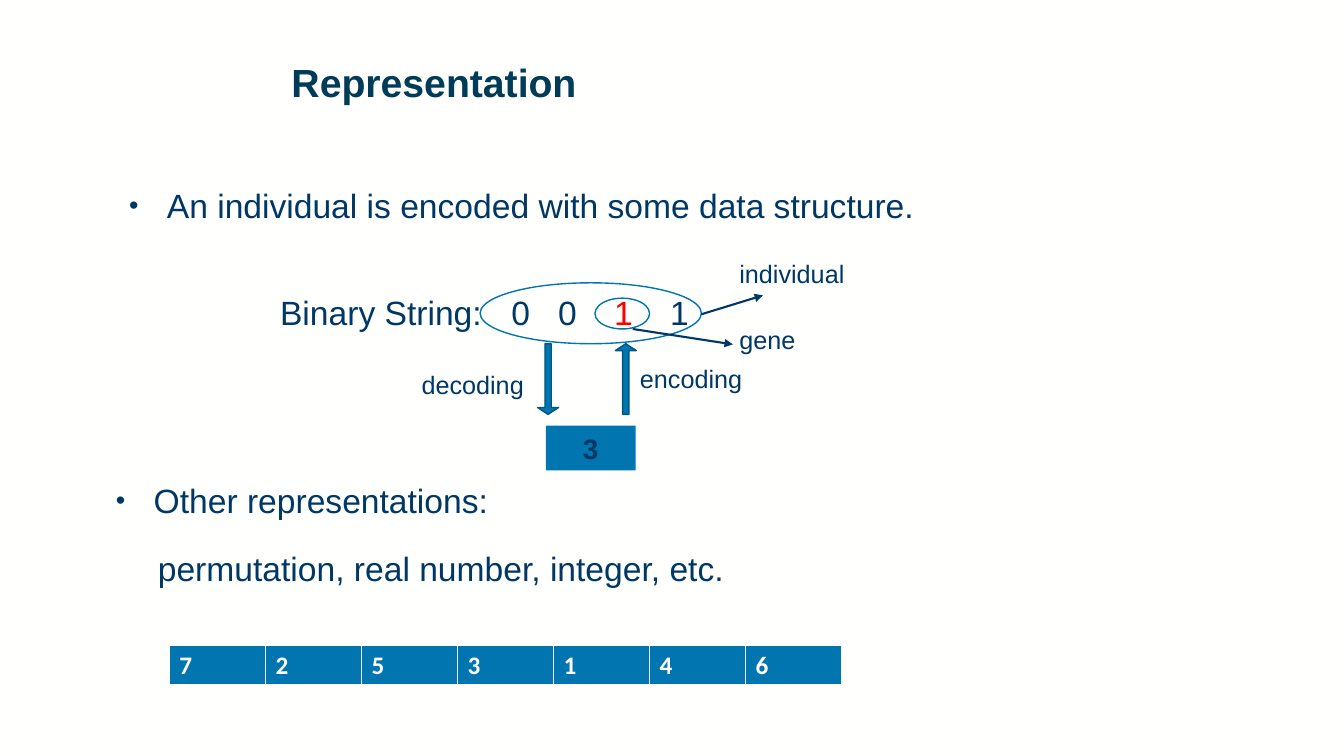
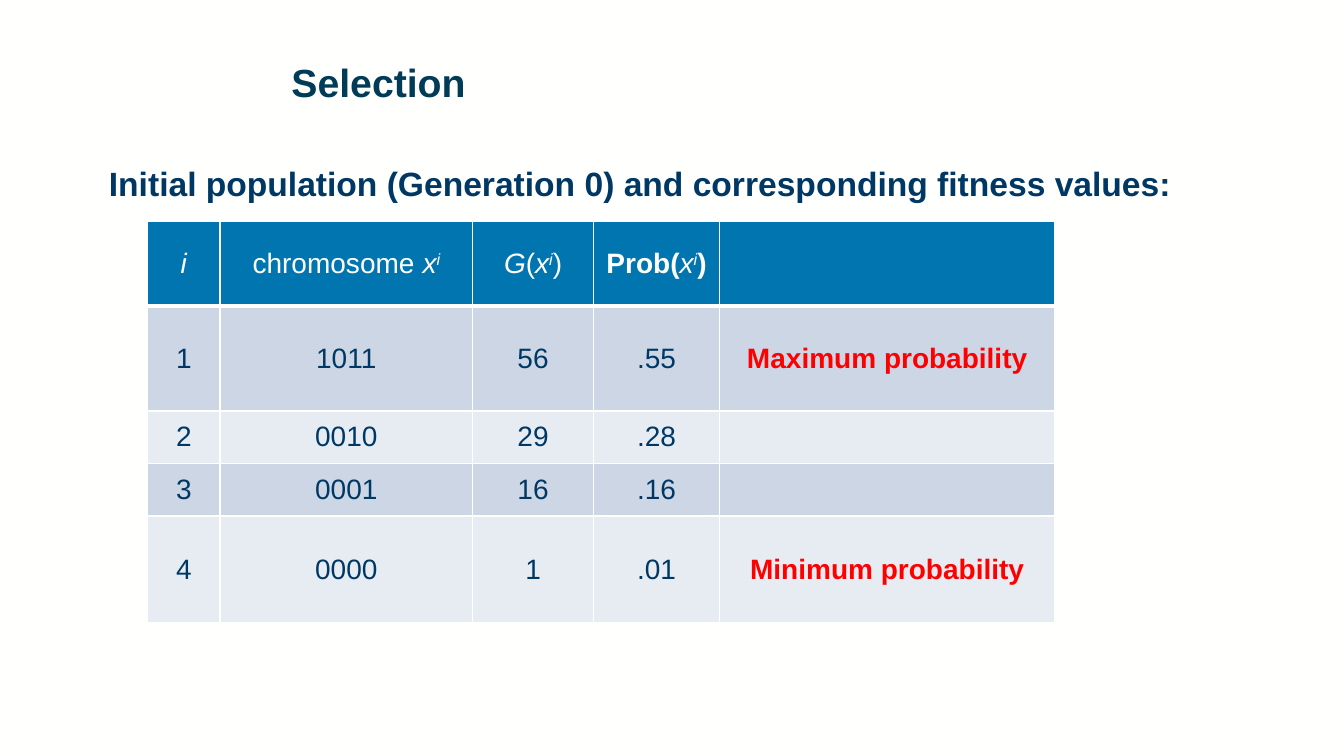
from dataclasses import dataclass

from lxml.etree import SubElement
from pptx import Presentation
from pptx.dml.color import RGBColor as Color
from pptx.enum.shapes import MSO_CONNECTOR as Connector, MSO_SHAPE as Shape
from pptx.enum.text import MSO_ANCHOR as Anchor, MSO_AUTO_SIZE as AutoSize, PP_ALIGN as Align
from pptx.oxml.ns import qn
from pptx.util import Pt


@dataclass(frozen=True)
class Theme:
    paper: str = "FFFFFE"
    title: str = "003B58"
    ink: str = "003865"
    accent: str = "0075B0"
    accent_edge: str = "005782"
    highlight: str = "FF0000"
    band_dark: str = "CCD6E4"
    band_light: str = "E7ECF2"
    font: str = "Arial"
    strip_font: str = "Calibri"
    title_size: int = 28
    body_size: int = 24
    table_size: int = 20
    label_size: int = 18


THEME = Theme()


def rgb(value):
    return Color.from_string(value)


def add_run(paragraph, text, size, color=THEME.ink, style="", font=THEME.font):
    """Add a run; style may hold b (bold), i (italic) and ^ (superscript)."""
    run = paragraph.add_run()
    run.text = text
    run.font.name = font
    run.font.size = Pt(size)
    run.font.color.rgb = rgb(color)
    run.font.bold = "b" in style
    run.font.italic = "i" in style
    if "^" in style:
        run._r.get_or_add_rPr().set("baseline", "30000")


def place(shape, left, top, width, height):
    shape.left, shape.top = Pt(left), Pt(top)
    shape.width, shape.height = Pt(width), Pt(height)


def set_indent(paragraph, margin, bullet=False):
    properties = paragraph._p.get_or_add_pPr()
    properties.set("marL", str(Pt(margin)))
    properties.set("indent", str(Pt(-margin if bullet else 0)))
    if bullet:
        SubElement(properties, qn("a:buSzPct"), val="80000")
        SubElement(properties, qn("a:buFont"), typeface=THEME.font)
        SubElement(properties, qn("a:buChar"), char="•")
    else:
        SubElement(properties, qn("a:buNone"))


def fill_title(slide, text):
    title = slide.shapes.title
    place(title, 201, 42, 725, 70)
    frame = title.text_frame
    frame.auto_size = AutoSize.NONE
    frame.vertical_anchor = Anchor.TOP
    paragraph = frame.paragraphs[0]
    paragraph.alignment = Align.LEFT
    paragraph.line_spacing = 0.9
    add_run(paragraph, text, THEME.title_size, THEME.title, "b")


def fill_body(placeholder, box, lines, style=""):
    """Fill a body with lines given as (text, left indent, bulleted)."""
    place(placeholder, *box)
    frame = placeholder.text_frame
    frame.auto_size = AutoSize.NONE
    for index, (text, margin, bullet) in enumerate(lines):
        paragraph = frame.add_paragraph() if index else frame.paragraphs[0]
        set_indent(paragraph, margin, bullet)
        paragraph.space_before = Pt(20 if index else 0)
        add_run(paragraph, text, THEME.body_size, style=style)


def add_label(slide, text, left, top, width, size=THEME.label_size):
    label = slide.shapes.add_textbox(Pt(left), Pt(top), Pt(width), Pt(size * 1.6))
    label.text_frame.word_wrap = True
    add_run(label.text_frame.paragraphs[0], text, size)


def add_figure(slide, kind, box, fill=None, line=None):
    figure = slide.shapes.add_shape(kind, *map(Pt, box))
    figure.shadow.inherit = False
    if fill:
        figure.fill.solid()
        figure.fill.fore_color.rgb = rgb(fill)
    else:
        figure.fill.background()
    if line:
        figure.line.color.rgb = rgb(line)
        figure.line.width = Pt(1)
    else:
        figure.line.fill.background()
    return figure


def add_pointer(slide, start, end):
    pointer = slide.shapes.add_connector(Connector.STRAIGHT, *map(Pt, start + end))
    pointer.line.color.rgb = rgb(THEME.ink)
    pointer.line.width = Pt(1.5)
    SubElement(pointer.line._get_or_add_ln(), qn("a:tailEnd"), type="triangle")
    SubElement(pointer._element.spPr, qn("a:effectLst"))


def add_bits(slide, left, top, bits, marked):
    """Write bits on tab stops, with the marked one highlighted."""
    box = slide.shapes.add_textbox(Pt(left), Pt(top), Pt(163), Pt(37))
    frame = box.text_frame
    frame.word_wrap = True
    frame.margin_left = Pt(27.2)
    frame.margin_right = 0
    paragraph = frame.paragraphs[0]
    tabs = SubElement(paragraph._p.get_or_add_pPr(), qn("a:tabLst"))
    for stop in (33.4, 73.4, 113.4):
        SubElement(tabs, qn("a:tab"), pos=str(Pt(stop)), algn="l")
    for index, bit in enumerate(bits):
        color = THEME.highlight if index == marked else THEME.ink
        add_run(paragraph, ("\t" if index else "") + bit, THEME.body_size, color)


def add_encoding_diagram(slide, left, top):
    def at(x, y, *size):
        return (left + x, top + y, *size)

    add_label(slide, "Binary String:", *at(0, 24, 175), size=THEME.body_size)
    add_bits(slide, *at(145, 24), "0011", marked=2)
    for box in (at(150, 21, 158, 43.5), at(232, 32, 39, 22)):
        add_figure(slide, Shape.OVAL, box, line=THEME.accent)

    for kind, x in ((Shape.DOWN_ARROW, 191), (Shape.UP_ARROW, 246.5)):
        arrow = add_figure(slide, kind, at(x, 64.5, 15, 50.5), THEME.accent, THEME.accent_edge)
        arrow.adjustments[0] = 0.3
        arrow.adjustments[1] = 0.33

    value = add_figure(slide, Shape.RECTANGLE, at(197, 123, 64, 32), THEME.accent)
    value.text_frame.vertical_anchor = Anchor.MIDDLE
    paragraph = value.text_frame.paragraphs[0]
    paragraph.alignment = Align.CENTER
    add_run(paragraph, "3", THEME.table_size, style="b")

    for text, x, y in (("individual", 328, 0), ("gene", 328, 47),
                       ("decoding", 101, 79.5), ("encoding", 257, 75)):
        add_label(slide, text, *at(x, y, 110))
    add_pointer(slide, at(308, 43.5), at(352, 30))
    add_pointer(slide, at(259, 54), at(330.5, 65))


def style_cell(cell, fill, top=1, bottom=1):
    """Set the fill and the borders, whose widths are in points."""
    properties = cell._tc.get_or_add_tcPr()
    for side, width in (("L", 1), ("R", 1), ("T", top), ("B", bottom)):
        line = SubElement(properties, qn(f"a:ln{side}"), w=str(Pt(width)))
        solid = SubElement(line, qn("a:solidFill"))
        SubElement(solid, qn("a:srgbClr"), val=THEME.paper)
    cell.fill.solid()
    cell.fill.fore_color.rgb = rgb(fill)


def add_grid(slide, left, top, widths, heights):
    frame = slide.shapes.add_table(len(heights), len(widths), Pt(left), Pt(top),
                                   Pt(sum(widths)), Pt(sum(heights)))
    for column, width in zip(frame.table.columns, widths):
        column.width = Pt(width)
    for row, height in zip(frame.table.rows, heights):
        row.height = Pt(height)
    return frame.table


def add_permutation_strip(slide, left, top, values):
    table = add_grid(slide, left, top, [68.6] * len(values), [29.2])
    for cell, value in zip(table.iter_cells(), values):
        style_cell(cell, THEME.accent, bottom=3)
        add_run(cell.text_frame.paragraphs[0], value, THEME.label_size, THEME.paper,
                "b", THEME.strip_font)


def add_fitness_table(slide, left, top):
    header = (
        [("i", "i")],
        [("chromosome ", ""), ("x", "i"), ("i", "i^")],
        [("G", "i"), ("(", ""), ("x", "i"), ("i", "i^"), (")", "")],
        [("Prob(", "b"), ("x", "i"), ("i", "i^"), (")", "b")],
        [],
    )
    records = (
        ("1", "1011", "56", ".55", "Maximum probability"),
        ("2", "0010", "29", ".28", ""),
        ("3", "0001", "16", ".16", ""),
        ("4", "0000", "1", ".01", "Minimum probability"),
    )
    table = add_grid(slide, left, top, (51.8, 180.4, 86.4, 90, 239.6),
                     (60.2, 75, 37.5, 37.5, 76.3))
    remark_column = len(header) - 1
    rows = [header] + [[[(text, "")] if text else [] for text in record] for record in records]
    for row_index, row in enumerate(rows):
        is_header = row_index == 0
        band = THEME.band_dark if row_index % 2 else THEME.band_light
        for column_index, pieces in enumerate(row):
            cell = table.cell(row_index, column_index)
            style_cell(cell, THEME.accent if is_header else band,
                       top=3 if row_index == 1 else 1, bottom=3 if is_header else 1)
            cell.vertical_anchor = Anchor.MIDDLE
            paragraph = cell.text_frame.paragraphs[0]
            paragraph.alignment = Align.CENTER
            is_remark = column_index == remark_column
            color = THEME.highlight if is_remark else THEME.ink
            for text, style in pieces:
                add_run(paragraph, text, THEME.table_size,
                        THEME.paper if is_header else color, "b" if is_remark else style)


def build_representation(presentation):
    slide = presentation.slides.add_slide(presentation.slide_layouts.get_by_name("Two Content"))
    fill_title(slide, "Representation")
    fill_body(slide.placeholders[1], (85, 128.5, 636, 78),
              [("An individual is encoded with some data structure.", 27, True)])
    fill_body(slide.placeholders[2], (75.6, 339, 636, 90),
              [("Other representations:", 27, True),
               ("permutation, real number, integer, etc.", 30, False)])
    add_encoding_diagram(slide, 193, 181)
    add_permutation_strip(slide, 121, 460.8, "7253146")


def build_selection(presentation):
    slide = presentation.slides.add_slide(
        presentation.slide_layouts.get_by_name("Title and Content"))
    fill_title(slide, "Selection")
    fill_body(slide.placeholders[1], (70.6, 112.5, 834, 36),
              [("Initial population (Generation 0) and corresponding fitness values:", 0, False)],
              "b")
    add_fitness_table(slide, 105.4, 158.4)


def main():
    presentation = Presentation()
    presentation.slide_width, presentation.slide_height = Pt(960), Pt(540)
    background = presentation.slide_master.background.fill
    background.solid()
    background.fore_color.rgb = rgb(THEME.paper)
    build_representation(presentation)
    build_selection(presentation)
    presentation.save("out.pptx")


if __name__ == "__main__":
    main()
